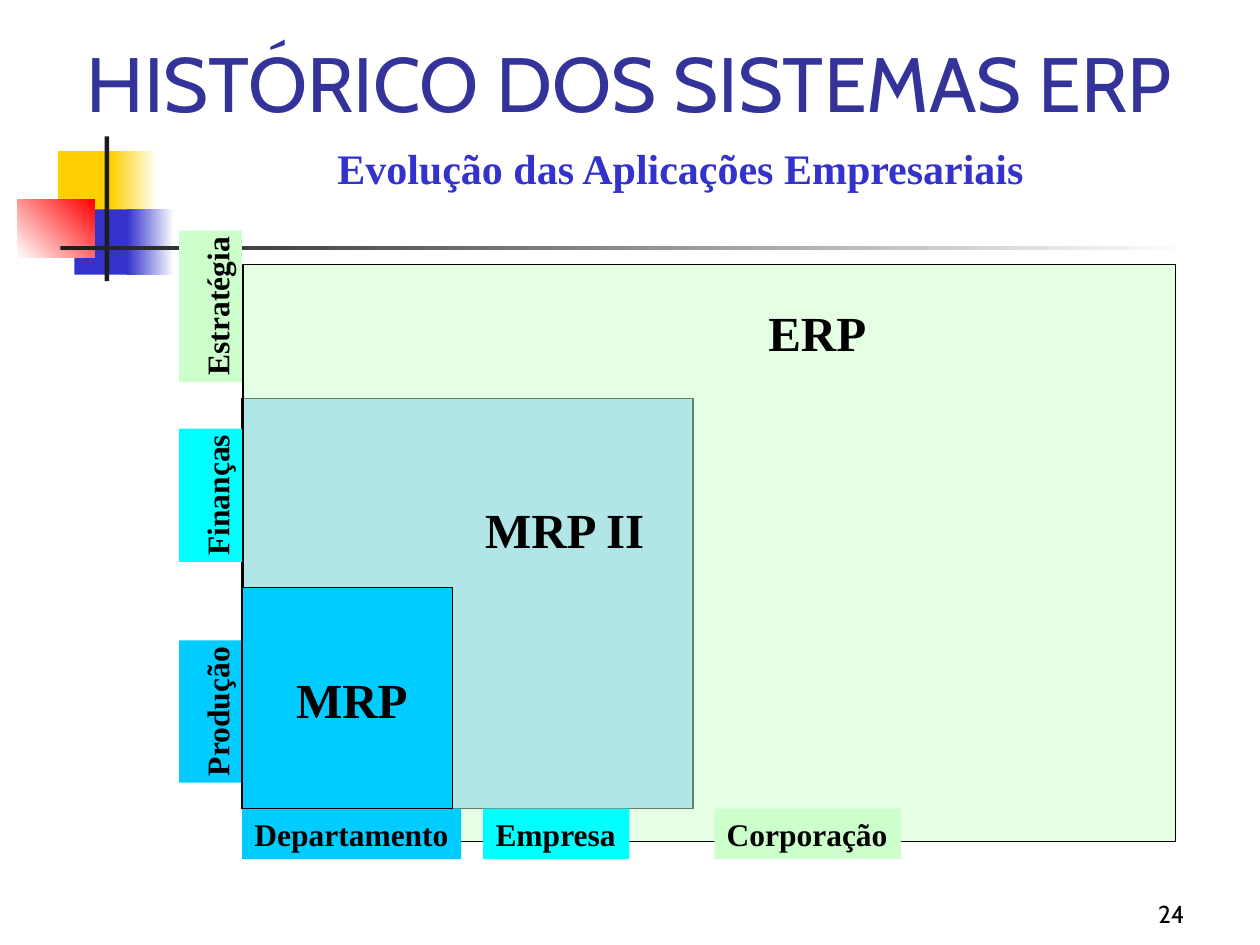
from lxml import etree
from pptx import Presentation
from pptx import util as u
from pptx.dml.color import RGBColor
from pptx.enum import shapes, text
from pptx.oxml import ns

COLORS = {
    "title": "333399", "blue": "3333CC", "yellow": "FFCF01", "red": "FF0000",
    "white": "FFFFFF", "black": "000000", "ink": "1C1C1C", "sky": "99CCFF",
    "production": "00CCFF", "finance": "00FFFF", "strategy": "CCFFCC",
}
SERIF, SANS = "Times New Roman", "Cabin"


def color(name):
    return RGBColor.from_string(COLORS[name])


def place(origin, box):
    left, top, width, height = box
    return [u.Cm(v) for v in (origin[0] + left, origin[1] + top, width, height)]


def write(shape, words, size=18, font=SERIF, ink="black", bold=True, wrap=False,
          anchor=text.MSO_ANCHOR.TOP, align=text.PP_ALIGN.LEFT, vert=None):
    frame = shape.text_frame
    frame.word_wrap = wrap
    frame.vertical_anchor = anchor
    if vert:
        frame.margin_left = frame.margin_right = u.Cm(0.13)
        frame.margin_top = frame.margin_bottom = u.Cm(0.13)
        shape.element.txBody.bodyPr.set("vert", vert)
    paragraph = frame.paragraphs[0]
    paragraph.alignment = align
    run = paragraph.add_run()
    run.text = words
    run.font.size = u.Pt(size)
    run.font.name = font
    run.font.bold = bold
    run.font.color.rgb = color(ink)


def add_words(slide, origin, box, words, **style):
    write(slide.shapes.add_textbox(*place(origin, box)), words, **style)


def add_block(slide, origin, box, fill, fade=None, angle=0, outlined=False, alpha=None):
    block = slide.shapes.add_shape(shapes.MSO_SHAPE.RECTANGLE, *place(origin, box))
    block.shadow.inherit = False
    if fade:
        block.fill.gradient()
        block.fill.gradient_angle = angle
        for stop, name in zip(block.fill.gradient_stops, (fill, fade)):
            stop.color.rgb = color(name)
    else:
        block.fill.solid()
        block.fill.fore_color.rgb = color(fill)
    if alpha:
        tint = block.element.spPr.find(ns.qn("a:solidFill"))[0]
        etree.SubElement(tint, ns.qn("a:alpha")).set("val", str(alpha * 1000))
    if outlined:
        block.line.color.rgb = color("black")
        block.line.width = u.Pt(0.75)
    else:
        block.line.fill.background()
    return block


def add_ornament(slide, origin):
    for left, top, hue in ((0.81, 0.3, "yellow"), (1.14, 1.47, "blue")):
        add_block(slide, origin, (left, top, 1.2, 1.32), hue)
        add_block(slide, origin, (left + 1.06, top, 0.95, 1.32), hue, fade="white")
    add_block(slide, origin, (0, 1.27, 1.55, 1.17), "white", fade="red", angle=45)
    add_block(slide, origin, (1.75, 0, 0.09, 2.92), "ink")
    add_block(slide, origin, (0.86, 2.21, 22.86, 0.09), "ink", fade="white")


def add_heading(slide, origin):
    add_words(slide, origin, (0, 0, 22.83, 2.24), "HISTÓRICO DOS SISTEMAS ERP",
              size=44, font=SANS, ink="title", bold=False, wrap=True,
              anchor=text.MSO_ANCHOR.MIDDLE)
    add_words(slide, origin, (5.05, 2.21, 14.4, 1.27),
              "Evolução das Aplicações Empresariais", size=24, ink="blue")


def add_diagram(slide, origin):
    axis, base = 1.27, 11.65
    add_block(slide, origin, (axis, base - 8.26, 9.09, 8.26), "sky", outlined=True)
    add_block(slide, origin, (1.29, 0.68, 18.8, 11.63), "strategy", outlined=True, alpha=50)
    scopes = (("Departamento", axis, 4.42, "production"),
              ("Empresa", 6.13, 2.95, "finance"),
              ("Corporação", 10.79, 3.76, "strategy"))
    for words, left, width, fill in scopes:
        write(add_block(slide, origin, (left, base, width, 1.02), fill), words)
    areas = (("Produção", 8.26, 2.87, "production"),
             ("Finanças", 3.99, 2.69, "finance"),
             ("Estratégia", 0, 3.05, "strategy"))
    for words, top, height, fill in areas:
        write(add_block(slide, origin, (0, top, axis, height), fill), words,
              anchor=text.MSO_ANCHOR.BOTTOM, align=text.PP_ALIGN.CENTER,
              vert="vert270")
    add_block(slide, origin, (axis, base - 4.45, 4.24, 4.45), "production", outlined=True)
    systems = (("MRP II", 5.92, 5.28, 3.9), ("ERP", 11.63, 1.3, 3),
               ("MRP", 2.11, 8.71, 3))
    for words, left, top, width in systems:
        add_words(slide, origin, (left, top, width, 1.45), words, size=28, wrap=True,
                  anchor=text.MSO_ANCHOR.BOTTOM)


def add_page_number(slide, origin):
    add_words(slide, origin, (0, 0, 5.28, 1.27), "24", size=14, font=SANS, bold=False,
              wrap=True, anchor=text.MSO_ANCHOR.BOTTOM, align=text.PP_ALIGN.RIGHT)


def main():
    deck = Presentation()
    deck.slide_width, deck.slide_height = u.Cm(25.4), u.Cm(19.05)
    slide = deck.slides.add_slide(deck.slide_layouts[6])
    add_ornament(slide, (0.36, 2.75))
    add_heading(slide, (1.5, 0.53))
    add_diagram(slide, (3.61, 4.65))
    add_page_number(slide, (18.85, 17.58))
    deck.save("out.pptx")


if __name__ == "__main__":
    main()
